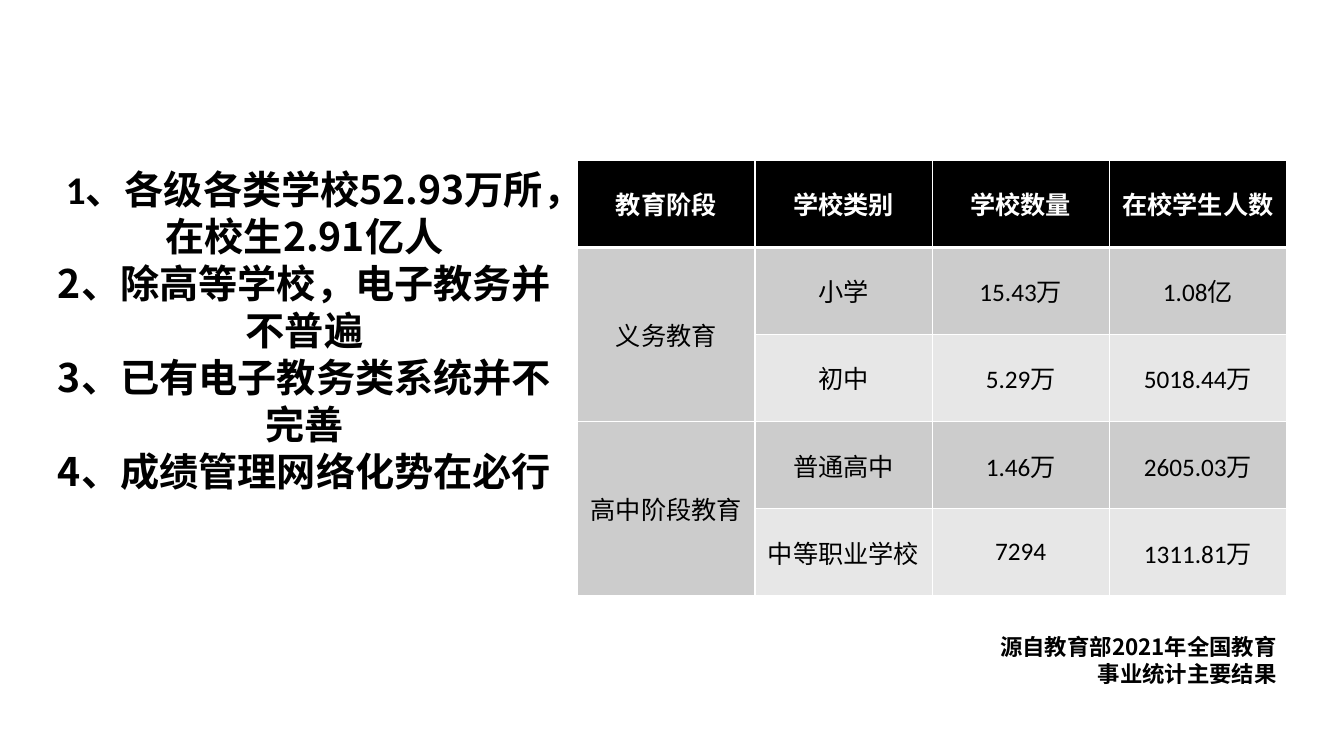
import pptx
import pptx.util
import pptx.dml.color
import pptx.enum.text
import pptx.oxml
import pptx.oxml.ns
from lxml import etree

Inches, Pt = pptx.util.Inches, pptx.util.Pt
PP_ALIGN = pptx.enum.text.PP_ALIGN
COLORS = {"ink": "000000", "paper": "FFFFFF", "dark_band": "CCCCCC", "light_band": "E7E7E7"}
LATIN, CJK = "Calibri", "Noto Sans CJK SC"

POINTS = [
    ["1、", "各级各类学校52.93万所，在校生2.91亿人"],
    ["2、除高等学校，电子教务并不普遍"],
    ["3、已有电子教务类系统并不完善"],
    ["4、成绩管理网络化势在必行"],
]
SOURCE_NOTE = [["源自教育部2021年全国教育事业统计主要结果"]]
SCHOOLS = [
    ["教育阶段", "学校类别", "学校数量", "在校学生人数"],
    ["义务教育", "小学", "15.43万", "1.08亿"],
    ["", "初中", "5.29万", "5018.44万"],
    ["高中阶段教育", "普通高中", "1.46万", "2605.03万"],
    ["", "中等职业学校", "7294", "1311.81万"],
]


def rgb(name):
    """Return the named colour."""
    return pptx.dml.color.RGBColor.from_string(COLORS[name])


def style_run(r, size, color, bold, font):
    """Format one run, with an East Asian face when the font is CJK."""
    r.font.size, r.font.bold, r.font.name = Pt(size), bold, font
    r.font.color.rgb = rgb(color)
    if font == CJK:
        ea = etree.SubElement(r.font._element, pptx.oxml.ns.qn("a:ea"))
        ea.set("typeface", font)


def add_text(slide, box, paragraphs, size, align):
    """Place bold paragraphs in a box; a short leading run is Latin."""
    tf = slide.shapes.add_textbox(*map(Inches, box)).text_frame
    tf.word_wrap = True
    for i, parts in enumerate(paragraphs):
        p = tf.paragraphs[0] if i == 0 else tf.add_paragraph()
        p.alignment = align
        p.line_spacing = Pt(size * 1.2)
        for part in parts:
            r = p.add_run()
            r.text = part
            style_run(r, size, "ink", True, CJK if part == parts[-1] else LATIN)


def set_borders(cell, bottom):
    """Draw white cell borders with the given bottom width in points."""
    tc_pr = cell._tc.get_or_add_tcPr()
    widths = {"lnL": 1, "lnR": 1, "lnT": 1, "lnB": bottom}
    for i, (side, width) in enumerate(widths.items()):
        ln = pptx.oxml.parse_xml(
            f'<a:{side} {pptx.oxml.ns.nsdecls("a")} w="{Pt(width)}"><a:solidFill>'
            f'<a:srgbClr val="{COLORS["paper"]}"/></a:solidFill></a:{side}>')
        tc_pr.insert(i, ln)


def add_school_table(slide, box):
    """Place the table of schools and pupils in a box."""
    rows, cols = len(SCHOOLS), len(SCHOOLS[0])
    table = slide.shapes.add_table(rows, cols, *map(Inches, box)).table
    for i, row in enumerate(SCHOOLS):
        for j, text in enumerate(row):
            cell = table.cell(i, j)
            cell.text_frame.text = text
            cell.vertical_anchor = pptx.enum.text.MSO_ANCHOR.MIDDLE
            p = cell.text_frame.paragraphs[0]
            p.alignment = PP_ALIGN.CENTER
            for r in p.runs:
                style_run(r, 18, "ink" if i else "paper", i == 0, LATIN)
            fill = "ink" if i == 0 else "dark_band" if i % 2 or j == 0 else "light_band"
            cell.fill.solid()
            cell.fill.fore_color.rgb = rgb(fill)
            set_borders(cell, 1 if i else 3)
    for top in range(1, rows, 2):
        table.cell(top, 0).merge(table.cell(top + 1, 0))


def build_slide(prs):
    """Build the slide on school statistics."""
    slide = prs.slides.add_slide(prs.slide_layouts[6])
    add_school_table(slide, (5.73, 1.59, 7.03, 4.32))
    add_text(slide, (9.73, 6.23, 3.03, 0.64), SOURCE_NOTE, 16, PP_ALIGN.RIGHT)
    add_text(slide, (0.4, 1.59, 5.24, 3.4), POINTS, 28, PP_ALIGN.CENTER)


def main():
    """Create and save the presentation."""
    prs = pptx.Presentation()
    prs.slide_width, prs.slide_height = Inches(13.33), Inches(7.5)
    build_slide(prs)
    prs.save("out.pptx")


if __name__ == "__main__":
    main()
